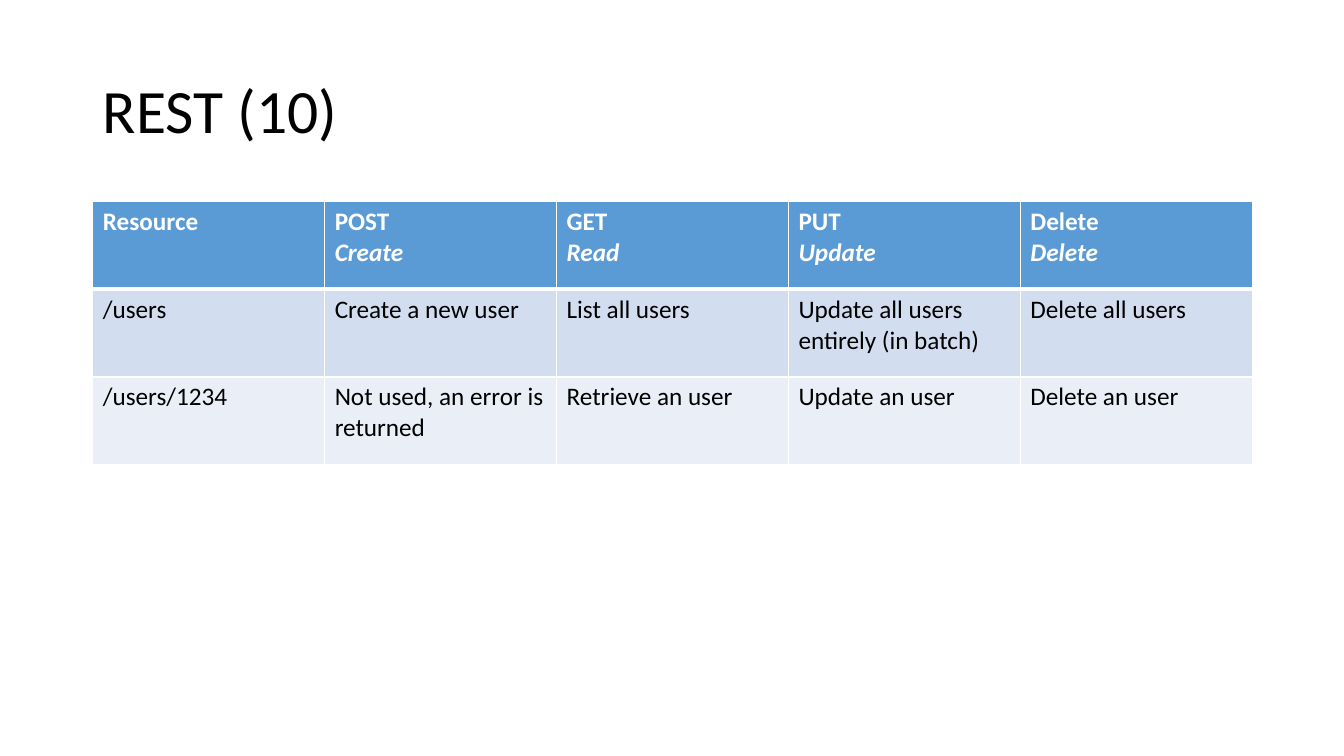
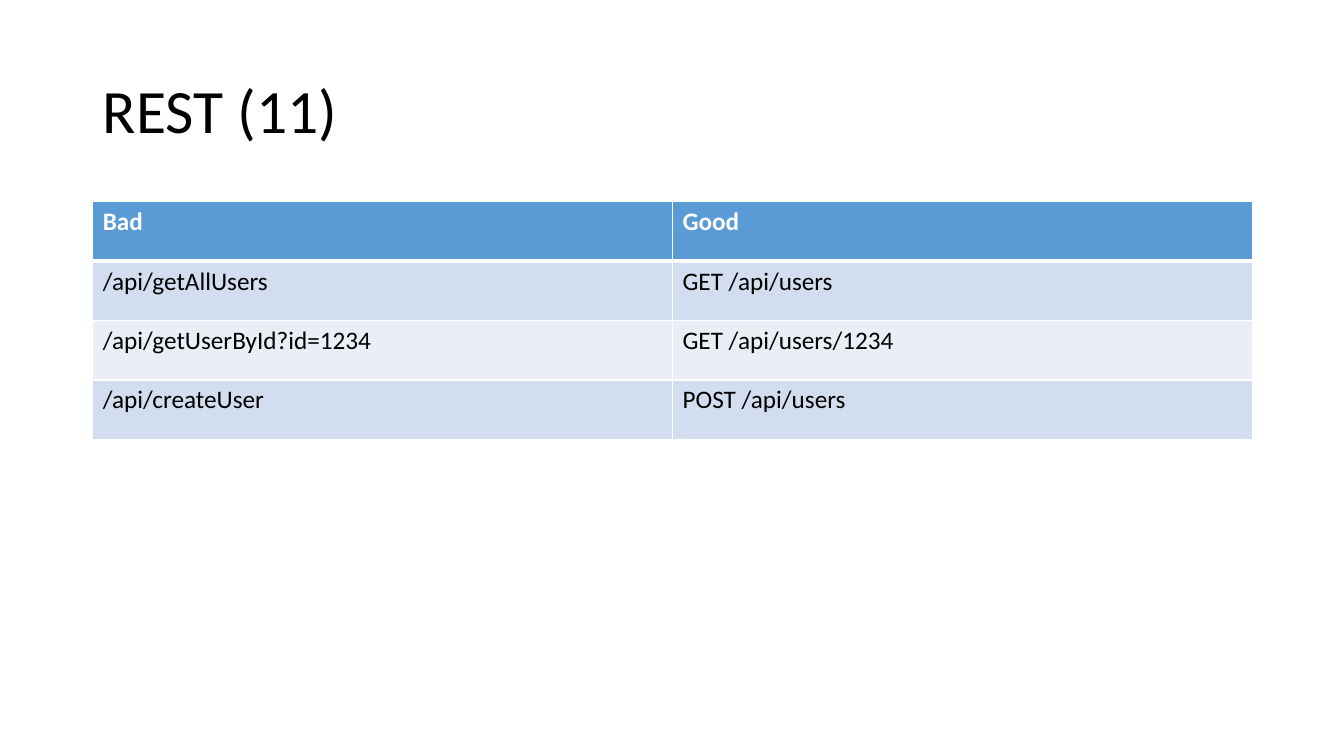
import pptx
import pptx.dml.color
import pptx.enum.text
import pptx.oxml
import pptx.oxml.ns
import pptx.util

PX = 9144
FONT = "Calibri"
COLORS = {
    "text": "000000",
    "white": "FFFFFF",
    "header": "5B9BD5",
    "odd": "D2DEEF",
    "even": "EAEFF7",
}
SLIDE_W, SLIDE_H = 1333, 750
LEFT, WIDTH = 92, 1150
TITLE_TOP, TITLE_H = 40, 145
TABLE_TOP = 200

SLIDES = [
    {
        "title": "REST (10)",
        "row_height": 87,
        "rows": [
            ["Resource", "POST\nCreate", "GET\nRead", "PUT\nUpdate", "Delete\nDelete"],
            ["/users", "Create a new user", "List all users",
             "Update all users entirely (in batch)", "Delete all users"],
            ["/users/1234", "Not used, an error is returned", "Retrieve an user",
             "Update an user", "Delete an user"],
        ],
    },
    {
        "title": "REST (11)",
        "row_height": 59,
        "rows": [
            ["Bad", "Good"],
            ["/api/getAllUsers", "GET /api/users"],
            ["/api/getUserById?id=1234", "GET /api/users/1234"],
            ["/api/createUser", "POST /api/users"],
        ],
    },
]


def px(n):
    return pptx.util.Emu(round(n * PX))


def rgb(name):
    return pptx.dml.color.RGBColor.from_string(COLORS[name])


def style_run(r, size, color, bold=False, italic=False):
    r.font.name = FONT
    r.font.size = pptx.util.Pt(size)
    r.font.color.rgb = rgb(color)
    r.font.bold = bold
    r.font.italic = italic


def add_title(s, text):
    tf = s.shapes.add_textbox(px(LEFT), px(TITLE_TOP), px(WIDTH), px(TITLE_H)).text_frame
    tf.word_wrap = True
    tf.vertical_anchor = pptx.enum.text.MSO_ANCHOR.MIDDLE
    tf.text = text
    p = tf.paragraphs[0]
    p.line_spacing = 0.9
    style_run(p.runs[0], 44, "text")


def set_borders(cell, row):
    tc_pr = cell._tc.get_or_add_tcPr()
    widths = {"L": 1, "R": 1, "T": 3 if row == 1 else 1, "B": 3 if row == 0 else 1}
    for side, width in widths.items():
        tc_pr.append(pptx.oxml.parse_xml(
            f'<a:ln{side} {pptx.oxml.ns.nsdecls("a")} w="{pptx.util.Pt(width)}">'
            f'<a:solidFill><a:srgbClr val="{COLORS["white"]}"/></a:solidFill></a:ln{side}>'))


def fill_cell(cell, text, row):
    header = row == 0
    set_borders(cell, row)
    cell.fill.solid()
    cell.fill.fore_color.rgb = rgb("header" if header else "odd" if row % 2 else "even")
    tf = cell.text_frame
    tf.text = text
    for line, p in enumerate(tf.paragraphs):
        style_run(p.runs[0], 18, "white" if header else "text", bold=header, italic=line > 0)


def add_table(s, rows, row_height):
    cols = len(rows[0])
    table = s.shapes.add_table(len(rows), cols, px(LEFT), px(TABLE_TOP),
                               px(WIDTH), px(row_height * len(rows))).table
    for column in table.columns:
        column.width = px(WIDTH / cols)
    for i, row in enumerate(rows):
        table.rows[i].height = px(row_height)
        for j, text in enumerate(row):
            fill_cell(table.cell(i, j), text, i)


def main():
    prs = pptx.Presentation()
    prs.slide_width, prs.slide_height = px(SLIDE_W), px(SLIDE_H)
    for content in SLIDES:
        s = prs.slides.add_slide(prs.slide_layouts[6])
        add_title(s, content["title"])
        add_table(s, content["rows"], content["row_height"])
    prs.save("out.pptx")


if __name__ == "__main__":
    main()
